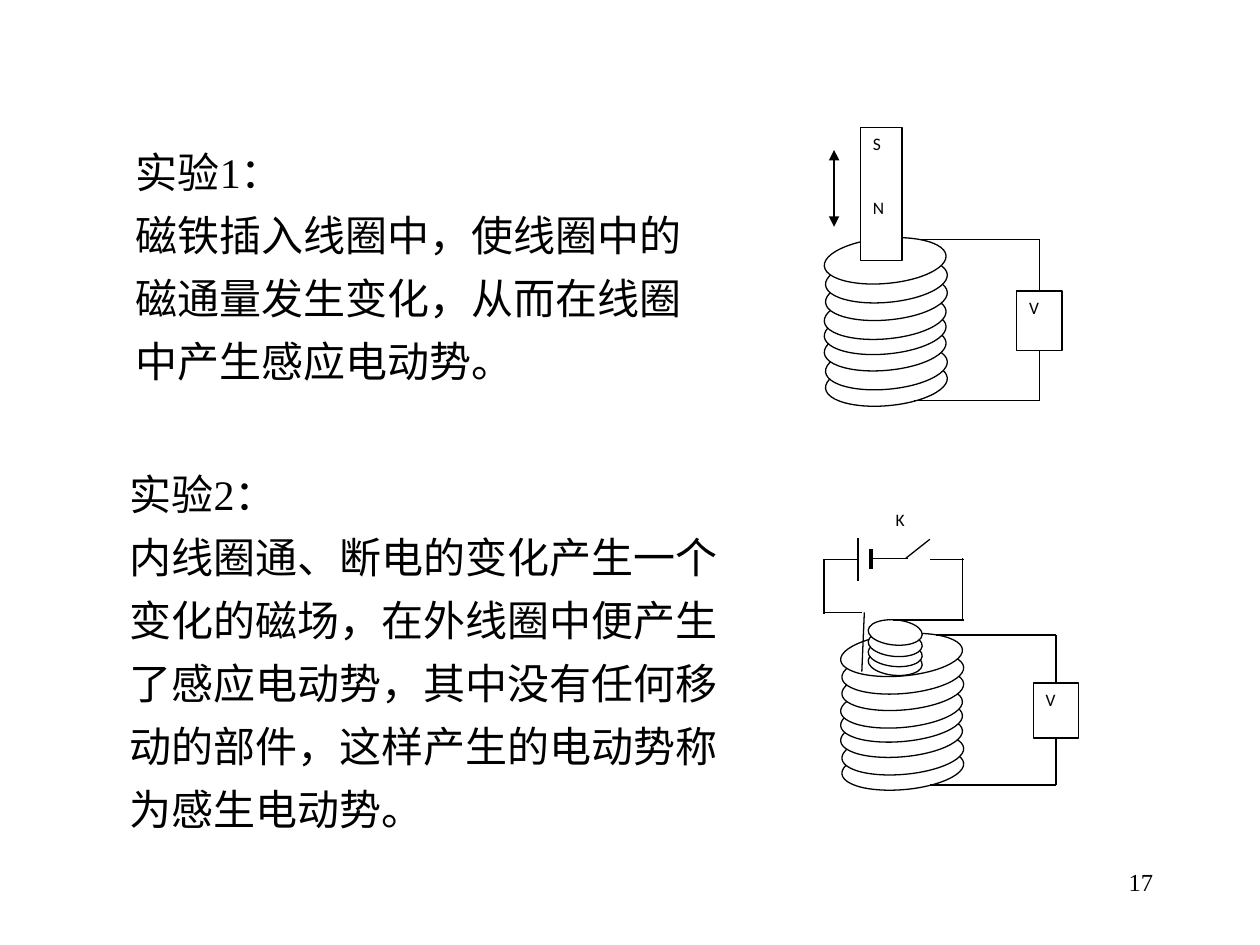
from lxml.etree import SubElement
from pptx import Presentation
from pptx.dml.color import RGBColor
from pptx.enum.shapes import MSO_CONNECTOR, MSO_SHAPE
from pptx.enum.text import MSO_ANCHOR, PP_ALIGN
from pptx.oxml.ns import qn
from pptx.util import Inches, Pt

INK = {"line": "000000", "text": "000000", "fill": "FFFFFF"}
TURNS = [(0.97, 0.01), (0.84, 0.01), (0.69, 0), (0.56, 0),
         (0.44, 0), (0.29, 0.01), (0.15, 0.01), (0, 0)]


def color(name):
    return RGBColor.from_string(INK[name])


def write(shape, rows, size, font, align=PP_ALIGN.JUSTIFY, space=None, gap=0):
    frame = shape.text_frame
    frame.word_wrap = True
    frame.vertical_anchor = MSO_ANCHOR.TOP
    for i, row in enumerate(rows):
        para = frame.paragraphs[0] if i == 0 else frame.add_paragraph()
        para.alignment = align
        if space:
            para.line_spacing = space
        if i and gap:
            para.space_before = Pt(gap)
        run = para.add_run()
        run.text = row
        run.font.size = Pt(size)
        run.font.name = font
        run.font.color.rgb = color("text")


def label(shapes, box, rows, size, font, **style):
    text = shapes.add_textbox(*map(Inches, box))
    write(text, rows, size, font, **style)


def solid(group, kind, box, turn=0):
    shape = group.shapes.add_shape(kind, *map(Inches, box))
    shape.shadow.inherit = False
    shape.fill.solid()
    shape.fill.fore_color.rgb = color("fill")
    shape.line.color.rgb = color("line")
    shape.line.width = Pt(0.75)
    shape.rotation = turn
    return shape


def wire(group, x1, y1, x2, y2, width=0.75, heads=False):
    line = group.shapes.add_connector(
        MSO_CONNECTOR.STRAIGHT, Inches(x1), Inches(y1), Inches(x2), Inches(y2))
    line.line.color.rgb = color("line")
    line.line.width = Pt(width)
    if heads:
        for end in ("a:headEnd", "a:tailEnd"):
            SubElement(line.line._get_or_add_ln(), qn(end), type="triangle")
    SubElement(line._element.spPr, qn("a:effectLst"))
    return line


def coil(group, left, top, scale):
    for drop, shift in TURNS:
        solid(group, MSO_SHAPE.OVAL,
              (left + shift, top + drop * scale, 0.97, 0.36 * scale), 175)
    high, low, mid = top + 0.01, top + 1.29 * scale, left + 1.71
    wire(group, left + 0.71, low, mid, low)
    wire(group, left + 0.76, high, mid, high)
    meter = solid(group, MSO_SHAPE.RECTANGLE,
                  (left + 1.53, top + 0.42 * scale, 0.36, 0.47 * scale))
    write(meter, ["V"], 10, "Calibri")
    wire(group, mid, high, mid, high + 0.4).end_connect(meter, 0)
    wire(group, mid, low, mid, low - 0.4).end_connect(meter, 2)


def magnet(group, left, top):
    bar = solid(group, MSO_SHAPE.RECTANGLE, (left + 0.21, top, 0.33, 1.06))
    write(bar, ["S", "N"], 10, "Calibri", gap=24.4)
    wire(group, left, top + 0.18, left, top + 0.79, heads=True)


def switch(group, left, top):
    for drop in (1.17, 1.1, 1.02, 0.93):
        solid(group, MSO_SHAPE.OVAL, (left + 0.36, top + drop, 0.43, 0.2), 5)
    for x1, y1, x2, y2, width in (
        (0.28, 0.28, 0.28, 0.62, 0.75),
        (0.38, 0.37, 0.38, 0.53, 2.25),
        (0.39, 0.44, 0.68, 0.44, 0.75),
        (0.66, 0.44, 0.85, 0.29, 0.75),
        (0.85, 0.45, 1.12, 0.45, 0.75),
        (0, 0.45, 0.27, 0.45, 0.75),
        (0.01, 0.45, 0.01, 0.88, 0.75),
        (1.11, 0.44, 1.11, 0.92, 0.75),
        (0.56, 0.93, 1.12, 0.93, 0.75),
        (0.01, 0.87, 0.31, 0.87, 0.75),
        (0.33, 0.87, 0.31, 1.34, 0.75),
    ):
        wire(group, left + x1, top + y1, left + x2, top + y2, width)
    label(group.shapes, (left + 0.48, top, 0.45, 0.52), ["K"], 10, "Calibri")


def main():
    deck = Presentation()
    deck.slide_width, deck.slide_height = Inches(10), Inches(7.5)
    shapes = deck.slides.add_slide(deck.slide_layouts[6]).shapes
    serif = "Times New Roman"
    label(shapes, (7.17, 6.83, 2.08, 0.5), ["17"], 14, serif,
          align=PP_ALIGN.RIGHT)

    first = shapes.add_group_shape()
    coil(first, 6.54, 1.89, 1)
    magnet(first, 6.62, 1.01)
    label(shapes, (0.98, 1.01, 4.85, 2.12), [
        "实验1：",
        "磁铁插入线圈中，使线圈中的",
        "磁通量发生变化，从而在线圈",
        "中产生感应电动势。",
    ], 24, serif, space=1.25)

    second = shapes.add_group_shape()
    coil(second, 6.67, 5.03, 0.93)
    switch(second, 6.53, 3.99)
    label(shapes, (0.93, 3.57, 5, 3.13), [
        "实验2：",
        "内线圈通、断电的变化产生一个",
        "变化的磁场，在外线圈中便产生",
        "了感应电动势，其中没有任何移",
        "动的部件，这样产生的电动势称",
        "为感生电动势。",
    ], 24, serif, space=1.25)
    deck.save("out.pptx")


if __name__ == "__main__":
    main()
